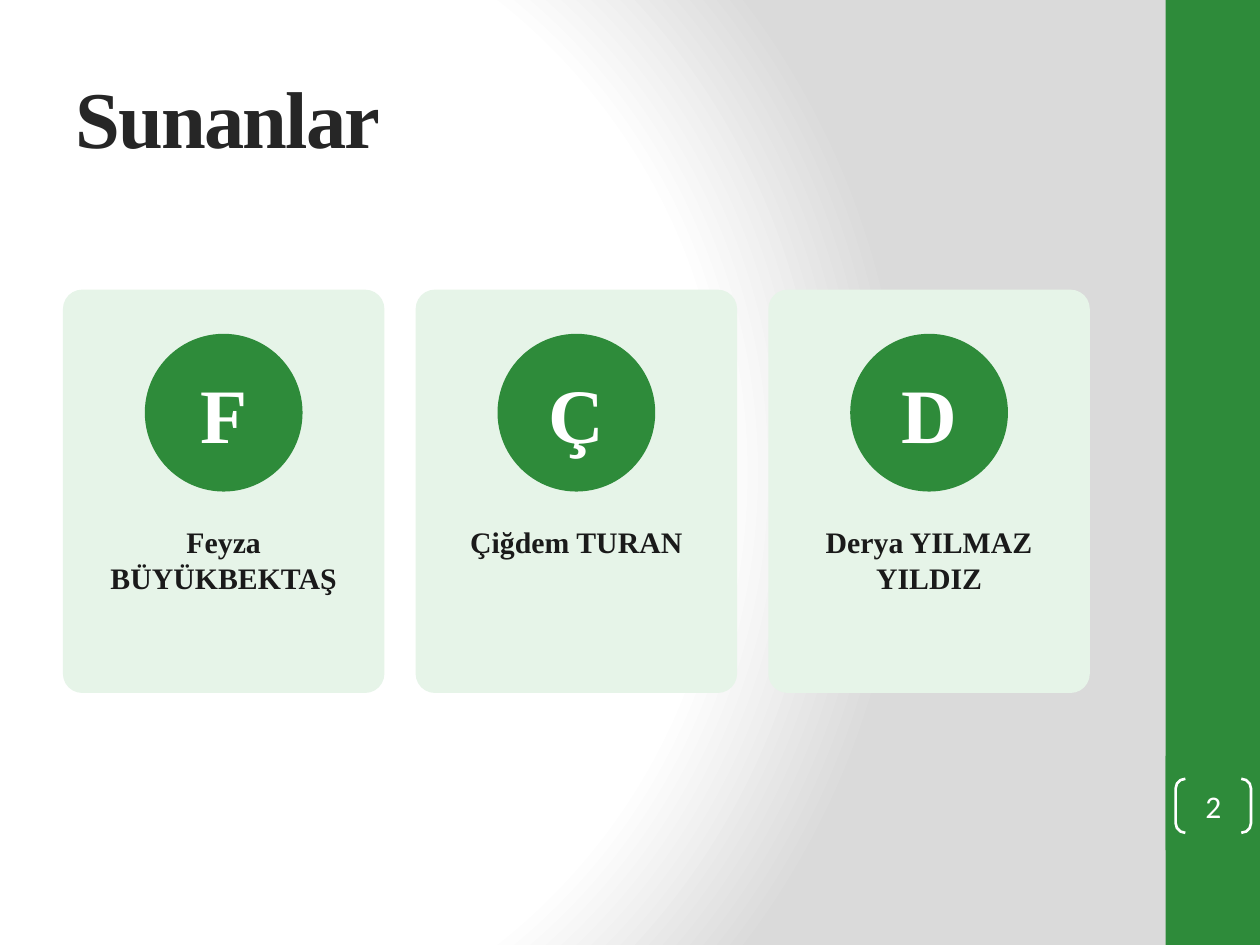
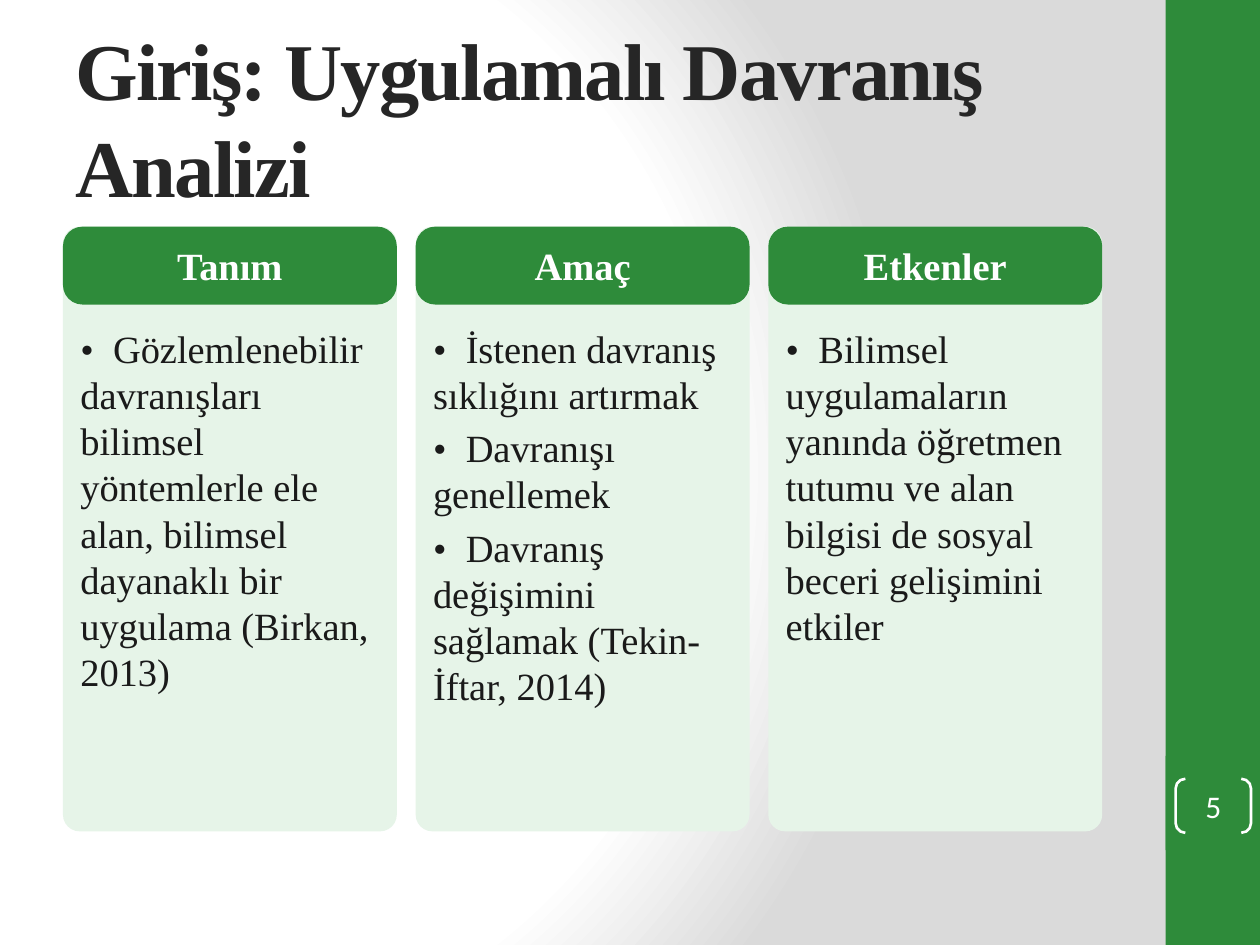
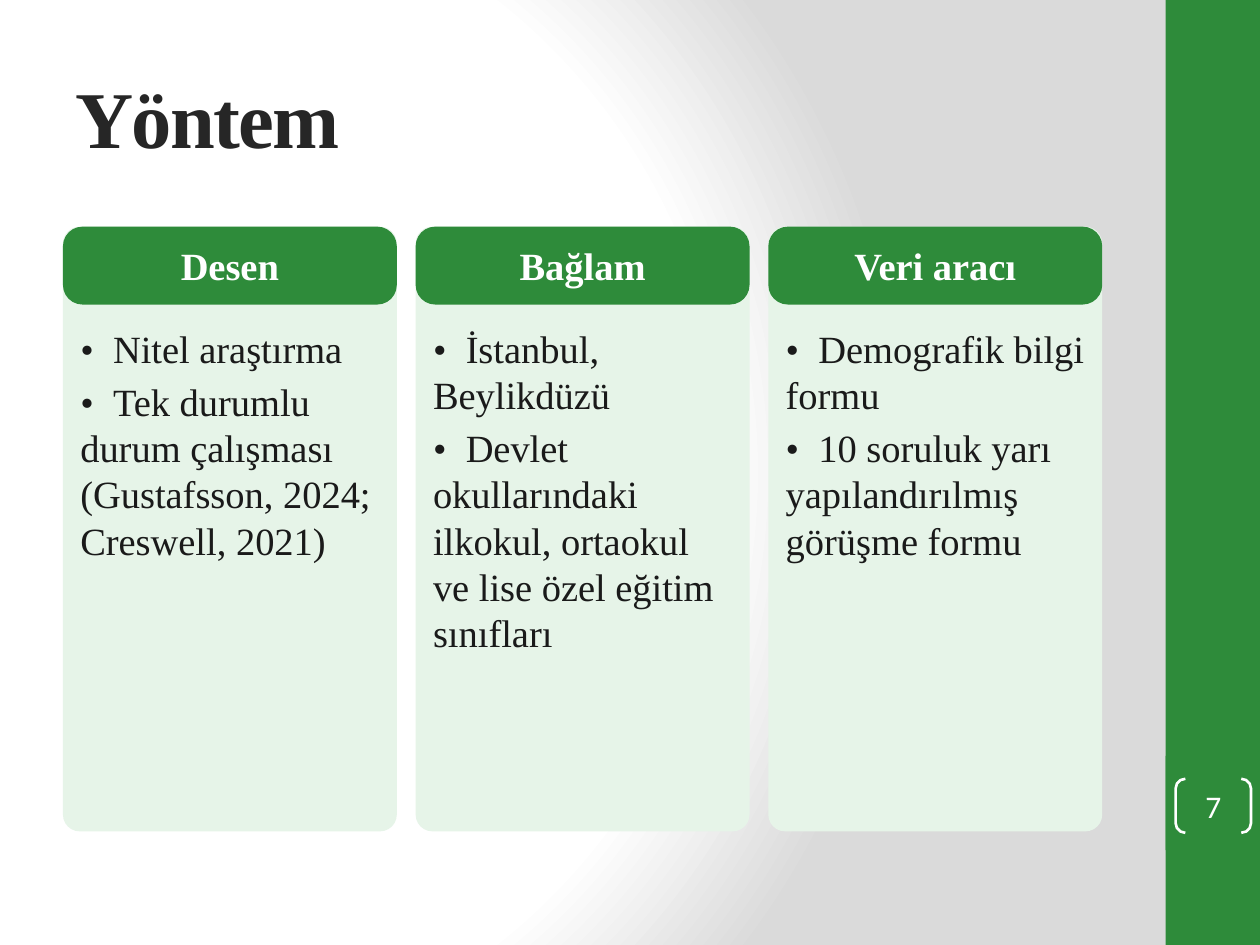
import pptx
import pptx.util
from lxml import etree
from pptx.dml.color import RGBColor
from pptx.enum.shapes import MSO_SHAPE
from pptx.enum.text import MSO_ANCHOR, PP_ALIGN
from pptx.oxml.ns import qn
from pptx.util import Cm, Pt

PRESENTERS = {
    "title": "Sunanlar",
    "number": "2",
    "people": ["Feyza BÜYÜKBEKTAŞ", "Çiğdem TURAN", "Derya YILMAZ YILDIZ"],
}

TOPICS = [
    {
        "title": "Giriş: Uygulamalı Davranış Analizi",
        "number": "5",
        "columns": [
            ("Tanım", ["Gözlemlenebilir davranışları bilimsel yöntemlerle ele alan, "
                       "bilimsel dayanaklı bir uygulama (Birkan, 2013)"]),
            ("Amaç", ["İstenen davranış sıklığını artırmak",
                      "Davranışı genellemek",
                      "Davranış değişimini sağlamak (Tekin-İftar, 2014)"]),
            ("Etkenler", ["Bilimsel uygulamaların yanında öğretmen tutumu ve alan "
                          "bilgisi de sosyal beceri gelişimini etkiler"]),
        ],
    },
    {
        "title": "Yöntem",
        "number": "7",
        "columns": [
            ("Desen", ["Nitel araştırma",
                       "Tek durumlu durum çalışması (Gustafsson, 2024; Creswell, 2021)"]),
            ("Bağlam", ["İstanbul, Beylikdüzü",
                        "Devlet okullarındaki ilkokul, ortaokul ve lise özel eğitim "
                        "sınıfları"]),
            ("Veri aracı", ["Demografik bilgi formu",
                            "10 soruluk yarı yapılandırılmış görüşme formu"]),
        ],
    },
]

COLORS = {
    "green": "2E8B3A",
    "card": "E6F4E8",
    "title": "262626",
    "text": "1A1A1A",
    "white": "FFFFFF",
    "grey": "DADADA",
}
SERIF, SANS = "Times New Roman", "Calibri"

MARGIN, PITCH = 1.27, 7.11
PERSON_TOP, PERSON_W, PERSON_H = 5.84, 6.48, 8.13
BADGE = 3.18
COLUMN_TOP, COLUMN_W, COLUMN_H = 4.57, 6.73, 12.19
HEADER_H = 1.57
BODY_INSET = 0.2
BULLET_GAP = 0.66
BAND_LEFT, BAND_W = 23.5, 1.9


def rgb(name):
    return RGBColor.from_string(COLORS[name])


def write(shape, lines, size, color, font=SERIF, bold=False, align=PP_ALIGN.LEFT,
          anchor=MSO_ANCHOR.TOP, insets=(0.15, 0.15), after=4, bulleted=False):
    """Fill a shape with one paragraph per line; insets are (side, top and bottom)."""
    frame = shape.text_frame
    frame.word_wrap = True
    frame.vertical_anchor = anchor
    frame.margin_left = frame.margin_right = Cm(insets[0])
    frame.margin_top = frame.margin_bottom = Cm(insets[1])
    frame.text = "\n".join(lines)
    for paragraph in frame.paragraphs:
        paragraph.alignment = align
        paragraph.space_after = Pt(after)
        if bulleted:
            tabs = etree.SubElement(paragraph._p.get_or_add_pPr(), qn("a:tabLst"))
            etree.SubElement(tabs, qn("a:tab"), pos=str(Cm(BULLET_GAP)), algn="l")
        for run in paragraph.runs:
            run.font.name = font
            run.font.size = Pt(size)
            run.font.bold = bold
            run.font.color.rgb = rgb(color)


def add_box(slide, kind, left, top, width, height, fill=None, line=None, corner=None):
    box = slide.shapes.add_shape(kind, Cm(left), Cm(top), Cm(width), Cm(height))
    box.shadow.inherit = False
    if fill:
        box.fill.solid()
        box.fill.fore_color.rgb = rgb(fill)
    else:
        box.fill.background()
    if line:
        box.line.color.rgb = rgb(line)
        box.line.width = Pt(1.5)
    else:
        box.line.fill.background()
    if corner is not None:
        box.adjustments[0] = corner
    return box


def add_text(slide, left, top, width, height, lines, size, color, **style):
    box = slide.shapes.add_textbox(Cm(left), Cm(top), Cm(width), Cm(height))
    write(box, lines, size, color, **style)
    return box


def set_background(master):
    """Give every slide the white-to-grey circular gradient."""
    master.background.fill.gradient()
    gradient = master.element.find(".//" + qn("a:gradFill"))
    for child in list(gradient):
        gradient.remove(child)
    stops = etree.SubElement(gradient, qn("a:gsLst"))
    for percent, color in ((0, "white"), (75, "white"), (100, "grey")):
        stop = etree.SubElement(stops, qn("a:gs"), pos=str(percent * 1000))
        etree.SubElement(stop, qn("a:srgbClr"), val=COLORS[color])
    circle = etree.SubElement(gradient, qn("a:path"), path="circle")
    etree.SubElement(circle, qn("a:fillToRect"),
                     l="20000", t="50000", r="100000", b="50000")


def add_slide(prs, title, number):
    """Add a slide with the side band, the title and the bracketed number."""
    slide = prs.slides.add_slide(prs.slide_layouts[6])
    for top, height in ((0, 19.05), (15.24, 1.9)):
        add_box(slide, MSO_SHAPE.RECTANGLE, BAND_LEFT, top, BAND_W, height, "green")
    heading = add_text(slide, MARGIN, 0.76, 21.16, 3.18, [title], 46, "title", bold=True,
                       anchor=MSO_ANCHOR.MIDDLE, insets=(0.25, 0.13), after=0)
    for run in heading.text_frame.paragraphs[0].runs:
        run.font._element.set("spc", "-100")
    bracket = add_box(slide, MSO_SHAPE.DOUBLE_BRACKET, 23.7, 15.7, 1.52, 1.09,
                      line="white", corner=0.18)
    write(bracket, [number], 18, "white", font=SANS, align=PP_ALIGN.CENTER,
          anchor=MSO_ANCHOR.MIDDLE, insets=(0, 0), after=0)
    return slide


def add_person(slide, left, name):
    add_box(slide, MSO_SHAPE.ROUNDED_RECTANGLE, left, PERSON_TOP, PERSON_W, PERSON_H,
            "card", corner=0.06)
    badge = add_box(slide, MSO_SHAPE.OVAL, left + (PERSON_W - BADGE) / 2,
                    PERSON_TOP + 0.89, BADGE, BADGE, "green")
    write(badge, [name[0]], 44, "white", bold=True, align=PP_ALIGN.CENTER,
          anchor=MSO_ANCHOR.MIDDLE, insets=(0.05, 0.15))
    add_text(slide, left + 0.25, PERSON_TOP + 4.57, PERSON_W - 0.5, 3.05, [name], 17,
             "text", bold=True, align=PP_ALIGN.CENTER, insets=(0.13, 0.15))


def add_column(slide, left, heading, points):
    add_box(slide, MSO_SHAPE.ROUNDED_RECTANGLE, left, COLUMN_TOP, COLUMN_W, COLUMN_H,
            "card", corner=0.05)
    header = add_box(slide, MSO_SHAPE.ROUNDED_RECTANGLE, left, COLUMN_TOP, COLUMN_W,
                     HEADER_H, "green", corner=0.25)
    write(header, [heading], 22, "white", bold=True, align=PP_ALIGN.CENTER,
          anchor=MSO_ANCHOR.MIDDLE, insets=(0.3, 0.15))
    add_text(slide, left + BODY_INSET, COLUMN_TOP + HEADER_H + 0.26,
             COLUMN_W - 2 * BODY_INSET, 10.16, ["•\t" + point for point in points],
             22, "text", bulleted=True)


def main():
    prs = pptx.Presentation()
    prs.slide_width, prs.slide_height = Cm(25.4), Cm(19.05)
    set_background(prs.slide_master)

    slide = add_slide(prs, PRESENTERS["title"], PRESENTERS["number"])
    for i, name in enumerate(PRESENTERS["people"]):
        add_person(slide, MARGIN + i * PITCH, name)

    for topic in TOPICS:
        slide = add_slide(prs, topic["title"], topic["number"])
        for i, (heading, points) in enumerate(topic["columns"]):
            add_column(slide, MARGIN + i * PITCH, heading, points)

    prs.save("out.pptx")


if __name__ == "__main__":
    main()
